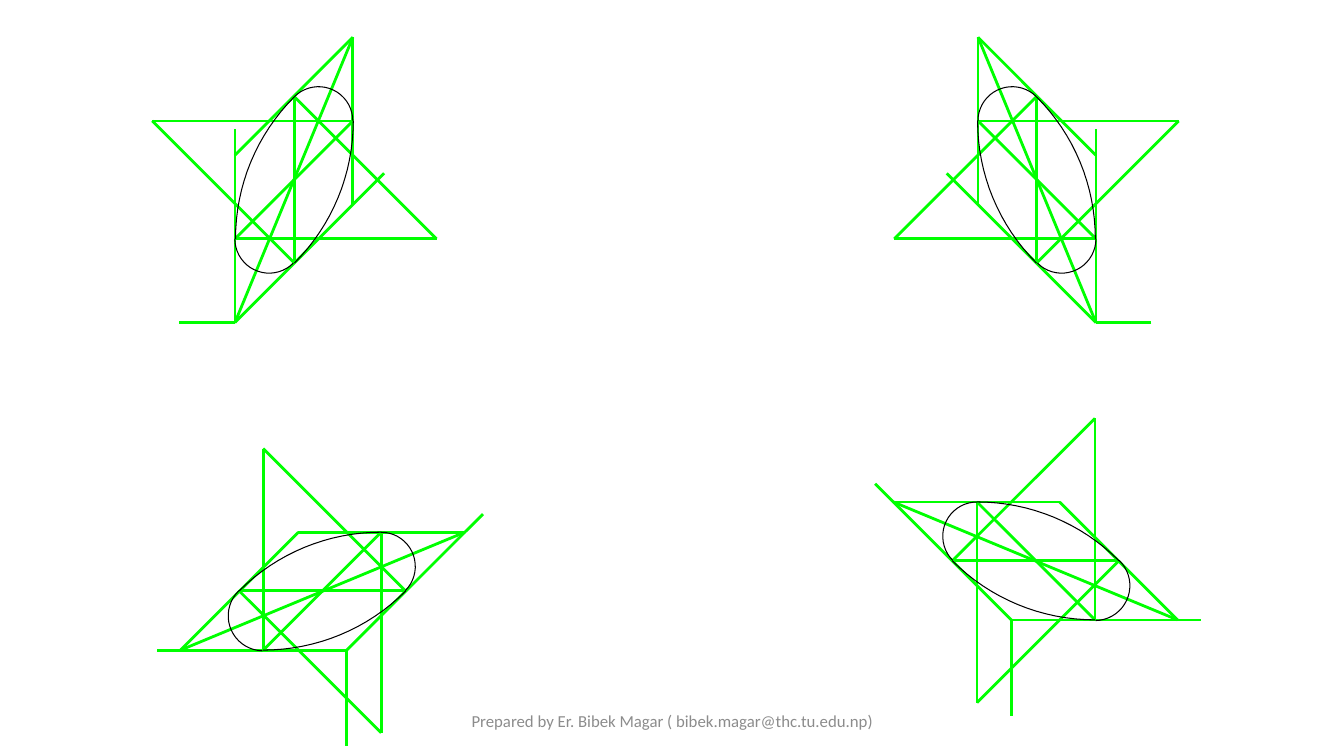
from math import cos, radians, sin

from lxml.etree import SubElement
from pptx import Presentation
from pptx.dml.color import RGBColor
from pptx.enum.shapes import MSO_CONNECTOR as Connector
from pptx.enum.text import MSO_ANCHOR as Anchor, PP_ALIGN as Align
from pptx.oxml.ns import qn
from pptx.util import Emu, Pt

PX = 9144  # EMU in one px, 100 px to the inch
GUIDE, CURVE, FOOTER_GRAY = "00FF00", "000000", "8C8C8C"

FOOTER = "Prepared by Er. Bibek Magar ( bibek.magar@thc.tu.edu.np)"
FOOTER_BOX = (442, 695, 450, 40)

# Construction lines: x1, y1, x2, y2
UPRIGHT_GUIDES = [
    (178, 320, 233, 320), (233, 320, 233, 128), (233, 320, 381, 172),
    (233, 154, 350, 37), (350, 37, 350, 203), (233, 237, 350, 120),
    (292, 96, 292, 261), (292, 96, 433, 237), (233, 237, 433, 237),
    (350, 120, 151, 120), (292, 261, 151, 120), (233, 320, 350, 37),
]
FLAT_GUIDES = [
    (156, 645, 344, 645), (344, 645, 479, 510), (344, 645, 344, 740),
    (179, 645, 296, 528), (296, 528, 461, 528), (237, 586, 402, 586),
    (378, 528, 261, 645), (237, 586, 378, 727), (378, 528, 378, 727),
    (261, 645, 261, 445), (402, 586, 261, 445), (179, 645, 461, 528),
]

# Four-centre ellipse arcs: start, centre, sweep in degrees, segments
LONG, SHORT = (-45, 16), (-135, 19)
UPRIGHT_ARCS = [
    ((292, 96), (433, 237), LONG), ((292, 261), (151, 120), LONG),
    ((350, 120), (316, 120), SHORT), ((233, 237), (267, 237), SHORT),
]
FLAT_ARCS = [
    ((261, 645), (261, 445), LONG), ((378, 528), (378, 727), LONG),
    ((237, 586), (261, 611), SHORT), ((402, 586), (378, 562), SHORT),
]

# Guides, arcs, sum of mirrored x values (None: not mirrored), shift down
FIGURES = [
    (UPRIGHT_GUIDES, UPRIGHT_ARCS, None, 0),
    (FLAT_GUIDES, FLAT_ARCS, None, 0),
    (UPRIGHT_GUIDES, UPRIGHT_ARCS, 1320, 0),
    (FLAT_GUIDES, FLAT_ARCS, 1347, -30),
]


def px(value):
    return Emu(round(value * PX))


def color(hex_string):
    return RGBColor.from_string(hex_string)


def place(x, y, mirror, shift):
    return px(x if mirror is None else mirror - x), px(y + shift)


def set_hairline(shape, hex_string):
    shape.line.color.rgb = color(hex_string)
    shape.line.width = Emu(0)


def add_guide(slide, start, end):
    line = slide.shapes.add_connector(Connector.STRAIGHT, *start, *end)
    set_hairline(line, GUIDE)
    SubElement(line.element.spPr, qn("a:effectLst"))


def arc_points(start, centre, sweep, segments):
    dx, dy = start[0] - centre[0], start[1] - centre[1]
    for step in range(segments + 1):
        turn = radians(sweep * step / segments)
        yield (centre[0] + dx * cos(turn) - dy * sin(turn),
               centre[1] + dx * sin(turn) + dy * cos(turn))


def add_arc(slide, points):
    builder = slide.shapes.build_freeform(*points[0])
    builder.add_line_segments(points[1:], close=False)
    shape = builder.convert_to_shape()
    shape.fill.background()
    set_hairline(shape, CURVE)
    shape.shadow.inherit = False


def add_footer(slide):
    box = slide.shapes.add_textbox(*map(px, FOOTER_BOX))
    frame = box.text_frame
    frame.word_wrap = True
    frame.vertical_anchor = Anchor.MIDDLE
    paragraph = frame.paragraphs[0]
    paragraph.alignment = Align.CENTER
    run = paragraph.add_run()
    run.text = FOOTER
    run.font.name = "Calibri"
    run.font.size = Pt(12)
    run.font.color.rgb = color(FOOTER_GRAY)


def main():
    presentation = Presentation()
    presentation.slide_width, presentation.slide_height = px(1333), px(750)
    slide = presentation.slides.add_slide(presentation.slide_layouts[6])
    add_footer(slide)
    for guides, arcs, mirror, shift in FIGURES:
        for x1, y1, x2, y2 in guides:
            add_guide(slide, place(x1, y1, mirror, shift), place(x2, y2, mirror, shift))
        for start, centre, (sweep, segments) in arcs:
            add_arc(slide, [place(x, y, mirror, shift)
                            for x, y in arc_points(start, centre, sweep, segments)])
    presentation.save("out.pptx")


if __name__ == "__main__":
    main()
